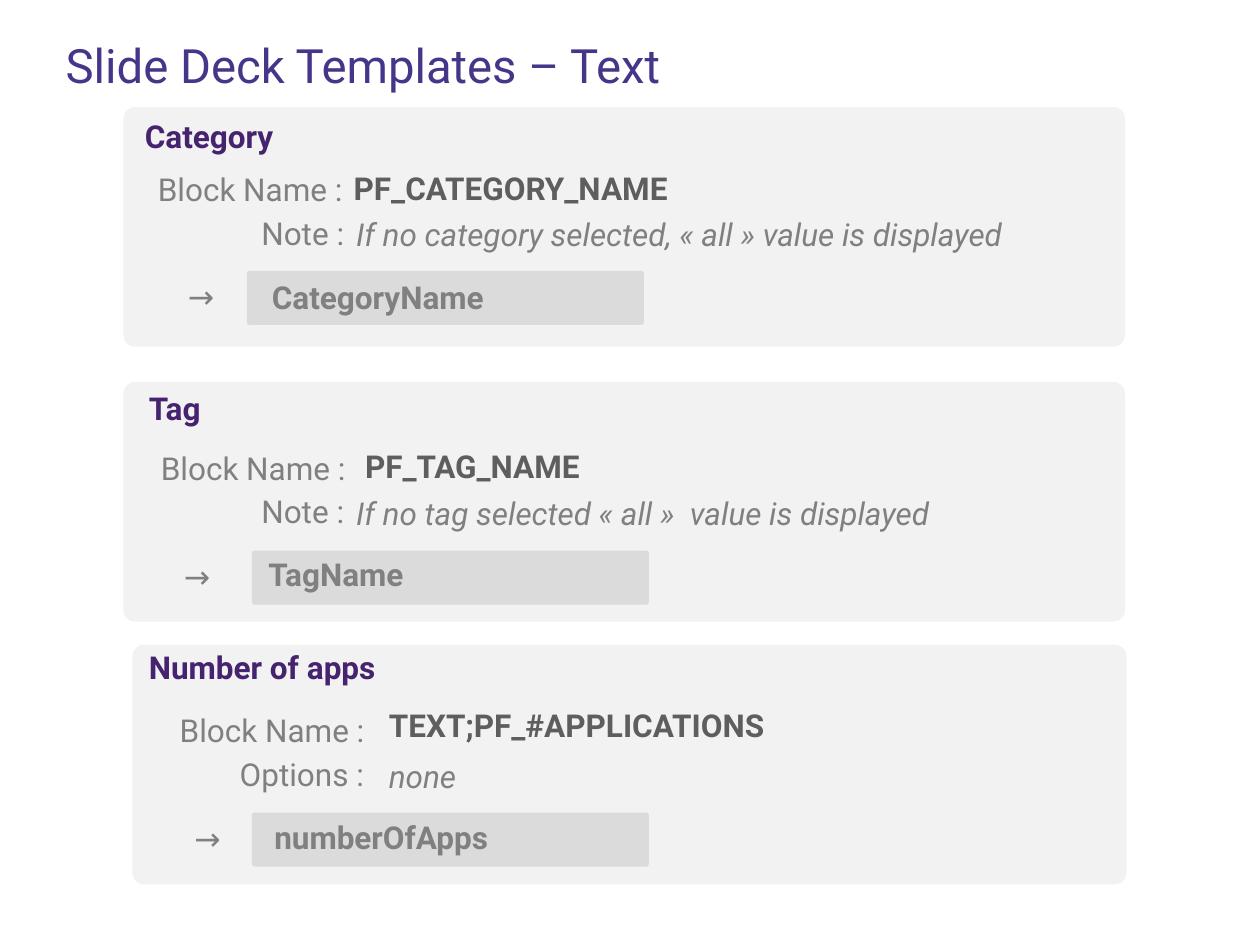
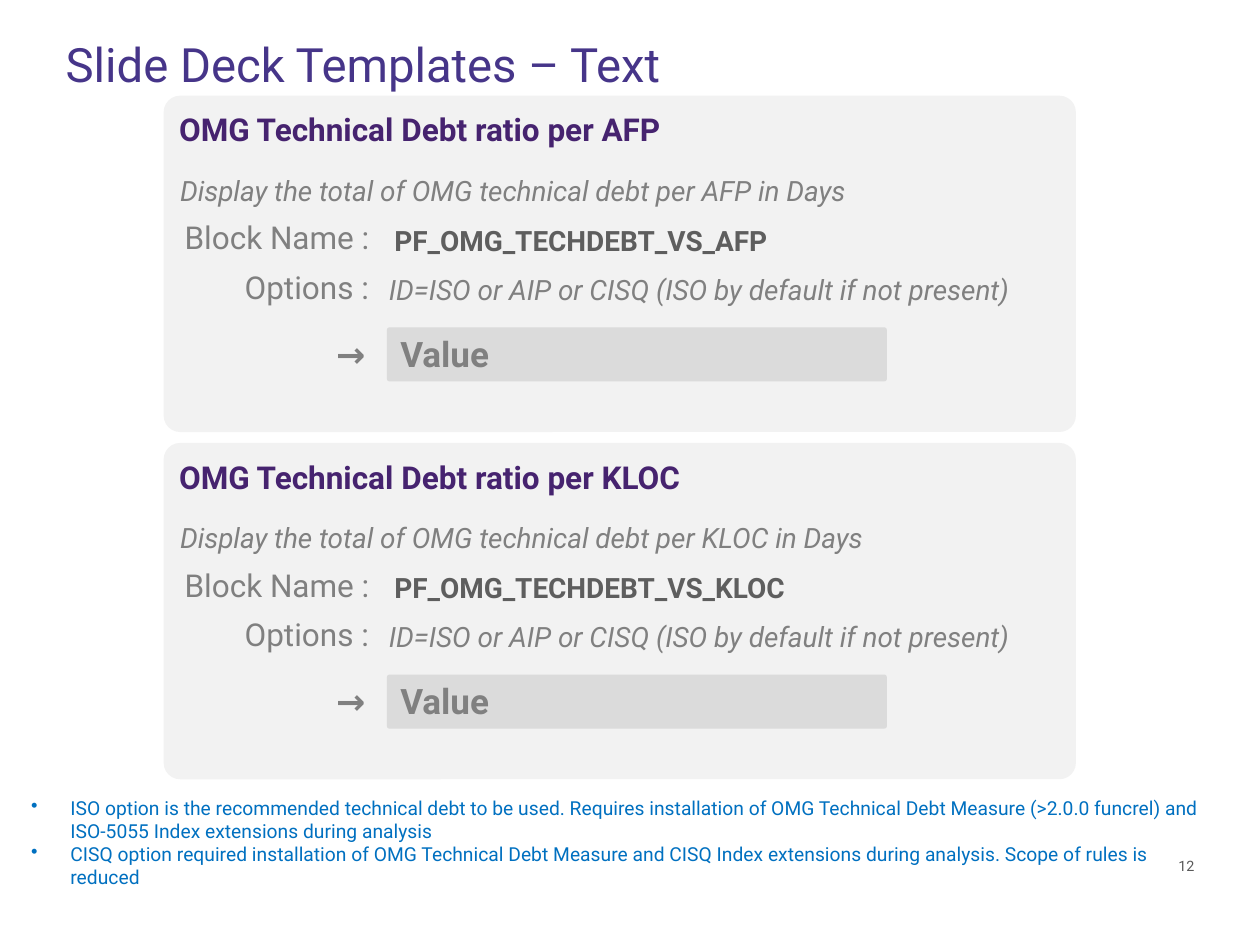
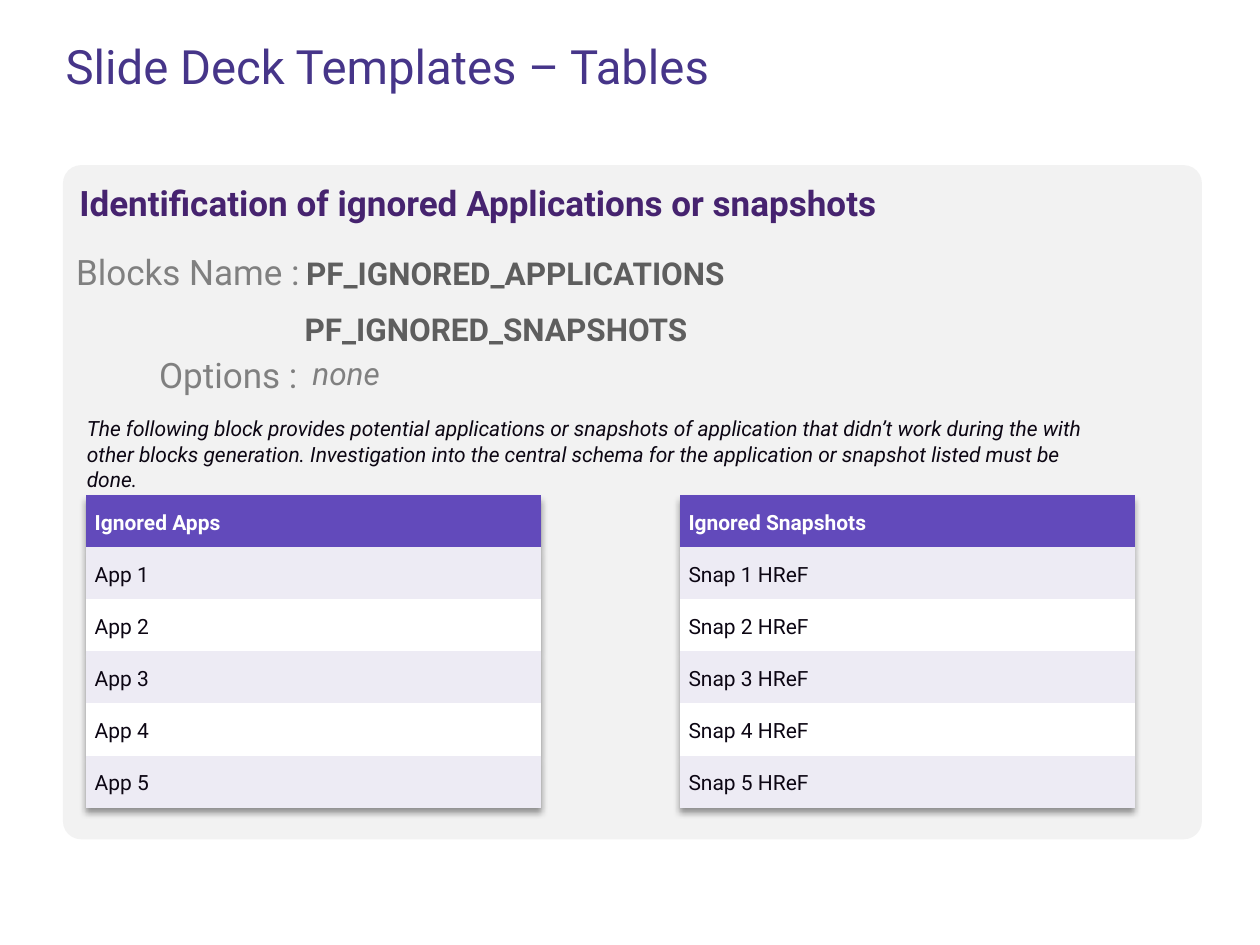
from dataclasses import dataclass, field

from lxml import etree
from pptx import Presentation
from pptx import util as u
from pptx.dml.color import RGBColor
from pptx.enum import shapes, text
from pptx.oxml import parse_xml
from pptx.oxml.ns import nsdecls, qn

LEFT, RIGHT = text.PP_ALIGN.LEFT, text.PP_ALIGN.RIGHT
TITLE_ONLY = 5
NO_STYLE_NO_GRID = "{2D5ABB26-0587-4C30-8999-92F81FD0307C}"
TABLE_SHADOW = (
    f'<a:effectLst {nsdecls("a")}><a:outerShdw blurRad="50800" dist="38100" dir="5400000" '
    'algn="t" rotWithShape="0"><a:srgbClr val="000000"><a:alpha val="40000"/></a:srgbClr>'
    "</a:outerShdw></a:effectLst>"
)


def role(color, size, align=LEFT, wrap=True, **font):
    return {"color": color, "size": size, "align": align, "wrap": wrap, "font": font}


@dataclass
class Theme:
    font: str = "Roboto"
    panel: str = "F2F2F2"
    result: str = "BFBFBF"
    result_alpha: int = 45000
    header_row: str = "624ABB"
    bands: tuple = ("EDEBF4", "FFFFFF")
    roles: dict = field(default_factory=lambda: {
        "title": role("463589", 27),
        "heading": role("46236F", 18, bold=True),
        "code": role("5E5E5E", 18, bold=True),
        "label": role("808080", 18, align=RIGHT, wrap=False),
        "note": role("808080", 18, italic=True),
        "value": role("808080", 18, bold=True),
        "remark": role("0C0613", 12, italic=True),
        "footnote": role("0070C0", 11),
        "number": role("595959", 8.2, align=RIGHT),
        "header": role("FFFFFF", 12, bold=True),
        "cell": role("0C0613", 12, bold=False),
    })


def rgb(color):
    return RGBColor.from_string(color)


def cm(*lengths):
    return [u.Cm(length) for length in lengths]


def assign(target, formats):
    for name, value in formats.items():
        setattr(target, name, value)


class Deck:
    def __init__(self, theme):
        self.theme = theme
        self.prs = Presentation()
        assign(self.prs, {"slide_width": u.Cm(25.4), "slide_height": u.Cm(19.05)})
        self.slide = None

    def typeset(self, paragraph, content, role_name, **changes):
        style = self.theme.roles[role_name]
        paragraph.text = content
        paragraph.alignment = style["align"]
        assign(paragraph.font, {"name": self.theme.font, "size": u.Pt(style["size"]),
                                **style["font"], **changes})
        paragraph.font.color.rgb = rgb(style["color"])

    def start(self, title, top):
        self.slide = self.prs.slides.add_slide(self.prs.slide_layouts[TITLE_ONLY])
        holder = self.slide.shapes.title
        assign(holder, dict(zip(("left", "top", "width", "height"),
                                cm(1.07, top, 23.24, 2.7))))
        assign(holder.text_frame, {"vertical_anchor": text.MSO_ANCHOR.MIDDLE,
                                   "auto_size": text.MSO_AUTO_SIZE.NONE})
        heading = holder.text_frame.paragraphs[0]
        self.typeset(heading, title, "title")
        heading.line_spacing = 0.9

    def rounded(self, place, color, corner):
        card = self.slide.shapes.add_shape(
            shapes.MSO_SHAPE.ROUNDED_RECTANGLE, *cm(*place))
        card.adjustments[0] = corner
        card.shadow.inherit = False
        card.fill.solid()
        card.fill.fore_color.rgb = rgb(color)
        card.line.fill.background()
        return card

    def panel(self, *place, corner=0.049):
        self.rounded(place, self.theme.panel, corner)

    def result(self, *place):
        """Add the translucent bar behind a sample value."""
        bar = self.rounded(place, self.theme.result, 0.049)
        tint = next(bar.element.iter(qn("a:srgbClr")))
        etree.SubElement(tint, qn("a:alpha"), val=str(self.theme.result_alpha))

    def label(self, role_name, content, left, top, width, height=None,
              size=None, **changes):
        """Add one line of text; the height follows the type size unless given."""
        style = self.theme.roles[role_name]
        size = size or style["size"]
        height = height or round(size * 1.2 * 2.54 / 72 + 0.25, 2)
        box = self.slide.shapes.add_textbox(*cm(left, top, width, height))
        box.text_frame.word_wrap = style["wrap"]
        if role_name == "heading":
            assign(box.text_frame, {"margin_left": u.Cm(0.51), "margin_right": u.Cm(0.51)})
        self.typeset(box.text_frame.paragraphs[0], content, role_name,
                     size=u.Pt(size), **changes)
        return box

    def bullets(self, items, *place):
        frame = self.slide.shapes.add_textbox(*cm(*place)).text_frame
        frame.word_wrap = True
        for index, item in enumerate(items):
            paragraph = frame.add_paragraph() if index else frame.paragraphs[0]
            properties = paragraph._p.get_or_add_pPr()
            properties.set("marL", str(u.Cm(0.79)))
            properties.set("indent", str(u.Cm(-0.79)))
            etree.SubElement(properties, qn("a:buChar"), char="•")
            self.typeset(paragraph, item, "footnote")

    def number(self, content):
        box = self.label("number", content, 19.02, 16.94, 5.31, height=1.02)
        box.text_frame.vertical_anchor = text.MSO_ANCHOR.MIDDLE

    def table(self, rows, left, top, width, row_height=1.05):
        frame = self.slide.shapes.add_table(
            len(rows), 1, *cm(left, top, width, row_height * len(rows)))
        grid = frame.table
        grid.horz_banding = False
        properties = grid._tbl.tblPr
        properties.find(qn("a:tableStyleId")).text = NO_STYLE_NO_GRID
        properties.insert(0, parse_xml(TABLE_SHADOW))
        for index, content in enumerate(rows):
            grid.rows[index].height = u.Cm(row_height)
            cell = grid.cell(index, 0)
            assign(cell, {"vertical_anchor": text.MSO_ANCHOR.MIDDLE,
                          "margin_left": u.Cm(0.18), "margin_right": u.Cm(0.18),
                          "margin_top": 0, "margin_bottom": 0})
            cell.fill.solid()
            cell.fill.fore_color.rgb = rgb(
                self.theme.bands[(index - 1) % 2] if index else self.theme.header_row)
            paragraph = cell.text_frame.paragraphs[0]
            self.typeset(paragraph, content, "cell" if index else "header")
            paragraph.line_spacing = 1.15


# Each block: panel place, result place, then its lines (role, words, left, top, width)
TEXT_BLOCKS = [
    ((2.49, 2.16, 20.19, 4.83), (4.98, 5.46, 8, 1.09), [
        ("heading", "Category", 2.41, 2.24, 3.8),
        ("label", "Block Name :", 2.84, 3.3, 4.32),
        ("code", "PF_CATEGORY_NAME", 6.88, 3.28, 7.7),
        ("label", "Note :", 4.95, 4.19, 2.24),
        ("note", "If no category selected, « all » value is displayed", 6.93, 4.22, 14.15),
        ("label", "→", 3.43, 5.46, 1.14),
        ("value", "CategoryName", 5.23, 5.49, 4.95),
    ]),
    ((2.49, 7.7, 20.19, 4.83), (5.08, 11.1, 8, 1.09), [
        ("heading", "Tag", 2.49, 7.72, 12),
        ("label", "Block Name :", 2.9, 8.92, 4.32),
        ("code", "PF_TAG_NAME", 7.11, 8.89, 7.7),
        ("label", "Note :", 4.95, 9.8, 2.24),
        ("note", "If no tag selected « all »  value is displayed", 6.93, 9.83, 14.3),
        ("label", "→", 3.35, 11.1, 1.14),
        ("value", "TagName", 5.16, 11.07, 5.94),
    ]),
    ((2.67, 13, 20.04, 4.83), (5.08, 16.38, 8, 1.09), [
        ("heading", "Number of apps", 2.49, 12.93, 12),
        ("label", "Block Name :", 3.28, 14.2, 4.32),
        ("code", "TEXT;PF_#APPLICATIONS", 7.59, 14.1, 10.29),
        ("label", "Options :", 4.52, 15.09, 3.07),
        ("note", "none", 7.59, 15.14, 7.7),
        ("label", "→", 3.56, 16.38, 1.14),
        ("value", "numberOfApps", 5.28, 16.36, 5.94),
    ]),
]


def text_slide(deck):
    deck.start("Slide Deck Templates – Text", 0.03)
    for panel, result, lines in TEXT_BLOCKS:
        deck.panel(*panel)
        deck.result(*result)
        for line in lines:
            deck.label(*line)


def debt_block(deck, unit, top):
    deck.panel(3.3, top, 18.39, 6.78)
    deck.label("heading", f"OMG Technical Debt ratio per {unit}", 3.1, top + 0.17, 18)
    deck.label("note", f"Display the total of OMG technical debt per {unit} in Days",
               3.38, top + 1.44, 17.53, size=16)
    deck.label("label", "Block Name :", 3.38, top + 2.35, 4.32)
    deck.label("code", f"PF_OMG_TECHDEBT_VS_{unit}", 7.7, top + 2.45, 11.38, size=16)
    deck.label("label", "Options :", 4.62, top + 3.34, 3.07)
    deck.label("note", "ID=ISO or AIP or CISQ (ISO by default if not present)",
               7.59, top + 3.43, 13.89, size=16)
    deck.result(7.8, top + 4.67, 10.08, 1.09)
    deck.label("label", "→", 6.4, top + 4.65, 1.22, size=20, bold=True)
    deck.label("value", "Value", 7.82, top + 4.65, 10.67, size=20)


def debt_slide(deck):
    deck.start("Slide Deck Templates – Text", 0)
    deck.number("12")
    for index, unit in enumerate(("AFP", "KLOC")):
        debt_block(deck, unit, 1.93 + 7 * index)
    deck.bullets([
        "ISO option is the recommended technical debt to be used. Requires installation of "
        "OMG Technical Debt Measure (>2.0.0 funcrel) and ISO-5055 Index extensions during "
        "analysis",
        "CISQ option required installation of OMG Technical Debt Measure and CISQ Index "
        "extensions during analysis. Scope of rules is reduced",
    ], 0.38, 15.93, 24.05, 2.21)


def tables_slide(deck):
    deck.start("Slide Deck Templates – Tables", 0.05)
    deck.panel(1.27, 3.33, 22.96, 13.59, corner=0.027)
    deck.table(["Ignored Apps"] + [f"App {n}" for n in range(1, 6)], 1.73, 9.98, 9.18)
    deck.table(["Ignored Snapshots"] + [f"Snap {n} HReF" for n in range(1, 6)],
               13.7, 9.98, 9.18)
    deck.label("heading", "Identification of ignored Applications or snapshots",
               1.09, 3.53, 22.63, size=20)
    deck.label("label", "Blocks Name :", 1.19, 4.93, 5.11, size=20)
    deck.label("code", "PF_IGNORED_APPLICATIONS", 5.92, 5, 18.42)
    deck.label("code", "PF_IGNORED_SNAPSHOTS", 5.89, 6.12, 18.42)
    deck.label("label", "Options :", 2.9, 7.01, 3.35, size=20)
    deck.label("note", "none", 6.05, 7.01, 3.4)
    deck.label("remark", "The following block provides potential applications or snapshots of "
               "application that didn’t work during the with other blocks generation. "
               "Investigation into the central schema for the application or snapshot listed "
               "must be done.", 1.5, 8.26, 21.21, height=1.8)


def main():
    deck = Deck(Theme())
    for build in (text_slide, debt_slide, tables_slide):
        build(deck)
    deck.prs.save("out.pptx")


if __name__ == "__main__":
    main()
